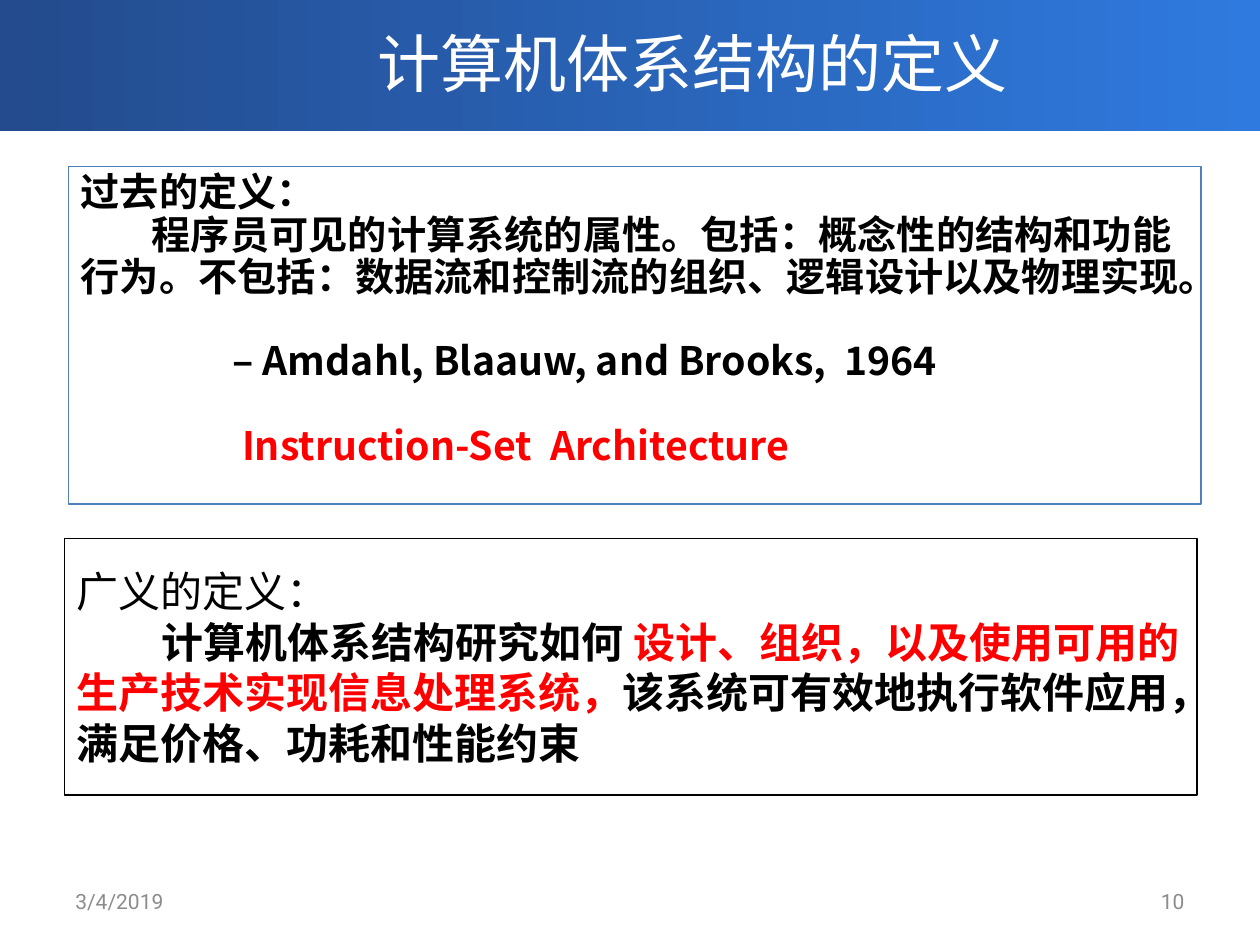
from lxml import etree
from pptx import Presentation
from pptx import util as u
from pptx.dml import color
from pptx.enum import shapes, text
from pptx.oxml import ns

CJK, LATIN = "Noto Sans CJK SC", "Roboto"
BLACK, RED, WHITE, GREY = "000000", "FF0000", "FFFFFF", "8C8C8C"


def rgb(value):
    """Turn a hex string into a colour."""
    return color.RGBColor.from_string(value)


def add_run(paragraph, words, size, colour, bold=False, font=CJK):
    """Append one formatted run, using its font for all scripts."""
    run = paragraph.add_run()
    run.text = words
    run.font.size = u.Pt(size)
    run.font.bold = bold
    run.font.name = font
    run.font.color.rgb = rgb(colour)
    etree.SubElement(run.font._element, ns.qn("a:ea"), typeface=font)


def set_layout(paragraph, spacing, indent=0, before=0):
    """Set line spacing, first-line indent in cm and space before in points."""
    paragraph.alignment = text.PP_ALIGN.LEFT
    paragraph.line_spacing = spacing
    paragraph.space_before = u.Pt(before)
    paragraph._p.get_or_add_pPr().set("indent", str(u.Cm(indent)))


def add_label(slide, box, words, size, colour, align, font):
    """Add a one-line text box centred vertically."""
    frame = slide.shapes.add_textbox(*map(u.Cm, box)).text_frame
    frame.word_wrap = True
    frame.vertical_anchor = text.MSO_ANCHOR.MIDDLE
    paragraph = frame.paragraphs[0]
    paragraph.alignment = align
    add_run(paragraph, words, size, colour, font=font)


def add_header(slide, box, title):
    """Add the gradient band with the title in its right nine tenths."""
    left, top, width, height = box
    band = slide.shapes.add_shape(shapes.MSO_SHAPE.RECTANGLE, *map(u.Cm, box))
    band.shadow.inherit = False
    band.line.fill.background()
    band.fill.gradient()
    band.fill.gradient_angle = 0
    for stop, (place, colour) in zip(band.fill.gradient_stops, [(0, "234B8D"), (1, "2F7ADF")]):
        stop.position = place
        stop.color.rgb = rgb(colour)
    title_box = (left + width / 10, 0, width * 0.9, height + 2 * top - 0.06)
    add_label(slide, title_box, title, 36, WHITE, text.PP_ALIGN.CENTER, CJK)


def add_definition(slide, box, outline, anchor, size, spacing, paragraphs, inset=0.13):
    """Add an outlined box; each paragraph is (indent, space before, runs)."""
    shape = slide.shapes.add_shape(shapes.MSO_SHAPE.RECTANGLE, *map(u.Cm, box))
    shape.shadow.inherit = False
    shape.fill.background()
    shape.line.color.rgb = rgb(outline)
    shape.line.width = u.Pt(0.75)
    frame = shape.text_frame
    frame.word_wrap = True
    frame.vertical_anchor = anchor
    frame.margin_top = frame.margin_bottom = u.Cm(inset)
    for index, (indent, before, runs) in enumerate(paragraphs):
        paragraph = frame.add_paragraph() if index else frame.paragraphs[0]
        set_layout(paragraph, spacing, indent, before)
        for words, colour, bold in runs:
            add_run(paragraph, words, size, colour, bold)


def add_footer(slide, box, date, number):
    """Add the date at the left and the slide number at the right."""
    left, top, width, height = box
    part = 5.92
    add_label(slide, (left, top, part, height), date, 12, GREY, text.PP_ALIGN.LEFT, LATIN)
    add_label(slide, (left + width - part, top, part, height), number, 12, GREY,
              text.PP_ALIGN.RIGHT, LATIN)


def main():
    """Build and save the slide."""
    presentation = Presentation()
    presentation.slide_width, presentation.slide_height = u.Cm(25.4), u.Cm(19.05)
    slide = presentation.slides.add_slide(presentation.slide_layouts[6])
    add_header(slide, (0, -0.08, 25.4, 2.72), "计算机体系结构的定义")
    add_definition(slide, (1.38, 3.36, 22.83, 6.8), "4F81BD", text.MSO_ANCHOR.TOP, 22.4, 0.9, [
        (0, 0, [("过去的定义：", BLACK, True)]),
        (1.43, 0, [("程序员可见的计算系统的属性。包括：概念性的结构和功能行为。"
                    "不包括：数据流和控制流的组织、逻辑设计以及物理实现。", BLACK, True)]),
        (3.06, 24, [("– Amdahl, Blaauw, and Brooks,  1964", BLACK, True)]),
        (3.25, 24, [("Instruction-Set  Architecture", RED, True)]),
    ])
    add_definition(slide, (1.3, 10.85, 22.83, 5.18), BLACK, text.MSO_ANCHOR.MIDDLE, 24, 1.0, [
        (0, 0, [("广义的定义：", BLACK, False)]),
        (1.71, 0, [("计算机体系结构研究如何 ", BLACK, True),
                   ("设计、组织，以及使用可用的生产技术实现信息处理系统，", RED, True),
                   ("该系统可有效地执行软件应用，满足价格、功耗和性能约束", BLACK, True)]),
    ], inset=0.25)
    add_footer(slide, (1.27, 17.65, 22.86, 1.02), "3/4/2019", "10")
    presentation.save("out.pptx")


if __name__ == "__main__":
    main()
